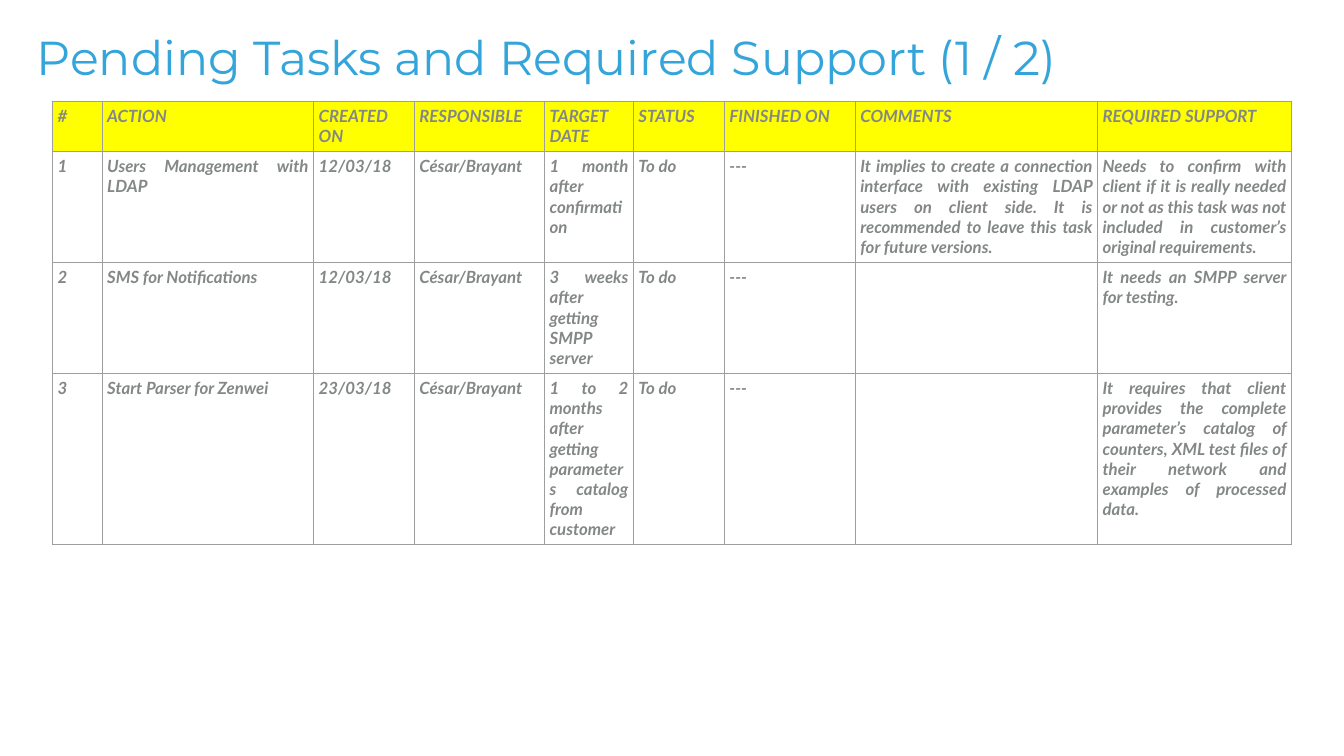
"""Build the pending tasks slide: a title above a bordered action table."""
from dataclasses import dataclass

from lxml.etree import SubElement
from pptx import Presentation
from pptx.dml.color import RGBColor
from pptx.enum.text import MSO_ANCHOR, MSO_AUTO_SIZE, PP_ALIGN
from pptx.oxml.ns import qn
from pptx.slide import Slide
from pptx.table import _Cell as Cell
from pptx.text.text import Font, TextFrame
from pptx.util import Pt


@dataclass(frozen=True)
class Theme:
    """Colours, fonts and sizes used on the slide."""
    title_color: str = "34A5DA"
    text_color: str = "838787"
    header_fill: str = "FFFF00"
    border_color: str = "9E9E9E"
    title_font: str = "Montserrat"
    table_font: str = "Lato"
    title_size: float = 68
    table_size: float = 24
    border_width: float = 0.75
    inset: float = 7.2


@dataclass(frozen=True)
class Column:
    """A table column heading and its width in points."""
    heading: str
    width: float


@dataclass(frozen=True)
class Task:
    """One pending task; the shared fields have defaults."""
    action: str
    created: str
    target: str
    support: str
    comments: str = ""
    responsible: str = "César/Brayant"
    status: str = "To do"
    finished: str = "---"

    def values(self, number: int) -> list[str]:
        """Return the cell texts in column order."""
        return [str(number), self.action, self.created, self.responsible, self.target,
                self.status, self.finished, self.comments, self.support]


THEME = Theme()
COLUMNS = [
    Column("#", 71),
    Column("ACTION", 302),
    Column("CREATED ON", 144),
    Column("RESPONSIBLE", 186),
    Column("TARGET DATE", 127),
    Column("STATUS", 130),
    Column("FINISHED ON", 187),
    Column("COMMENTS", 346),
    Column("REQUIRED SUPPORT", 277),
]
TASKS = [
    Task("Users Management with LDAP", "12/03/18", "1 month after confirmation",
         "Needs to confirm with client if it is really needed or not as this task was not "
         "included in customer’s original requirements.",
         comments="It implies to create a connection interface with existing LDAP users on "
                  "client side. It is recommended to leave this task for future versions."),
    Task("SMS for Notifications", "12/03/18", "3 weeks after getting SMPP server",
         "It needs an SMPP server for testing."),
    Task("Start Parser for Zenwei", "23/03/18",
         "1 to 2 months after getting parameters catalog from customer",
         "It requires that client provides the complete parameter’s catalog of counters, "
         "XML test files of their network and examples of processed data."),
]
ROW_HEIGHT = 30


def set_font(font: Font, name: str, size: float, color: str) -> None:
    """Apply a typeface, size and colour."""
    font.name, font.size = name, Pt(size)
    font.color.rgb = RGBColor.from_string(color)


def set_insets(target: TextFrame | Cell) -> None:
    """Give all four sides the same inner margin."""
    for side in ("left", "top", "right", "bottom"):
        setattr(target, f"margin_{side}", Pt(THEME.inset))


def add_borders(cell: Cell) -> None:
    """Outline a cell on every side."""
    properties = cell._tc.get_or_add_tcPr()
    for index, side in enumerate(("lnL", "lnR", "lnT", "lnB")):
        line = SubElement(properties, qn(f"a:{side}"), w=str(Pt(THEME.border_width)))
        SubElement(SubElement(line, qn("a:solidFill")), qn("a:srgbClr"), val=THEME.border_color)
        properties.insert(index, line)


def fill_cell(cell: Cell, text: str, is_header: bool) -> None:
    """Write and format one table cell."""
    cell.text_frame.text = text
    cell.vertical_anchor = MSO_ANCHOR.TOP
    set_insets(cell)
    paragraph = cell.text_frame.paragraphs[0]
    paragraph.alignment = PP_ALIGN.JUSTIFY
    for run in paragraph.runs:
        set_font(run.font, THEME.table_font, THEME.table_size, THEME.text_color)
        run.font.bold = run.font.italic = True
    if is_header:
        cell.fill.solid()
        cell.fill.fore_color.rgb = RGBColor.from_string(THEME.header_fill)
    else:
        cell.fill.background()
    add_borders(cell)


def add_title(slide: Slide, text: str) -> None:
    """Place the slide title in its placeholder."""
    title = slide.shapes.title
    title.left, title.top, title.width, title.height = Pt(45), Pt(32.4), Pt(1800), Pt(80)
    text_frame = title.text_frame
    text_frame.text = text
    text_frame.word_wrap = True
    text_frame.auto_size = MSO_AUTO_SIZE.NONE
    text_frame.vertical_anchor = MSO_ANCHOR.TOP
    set_insets(text_frame)
    paragraph = text_frame.paragraphs[0]
    paragraph.alignment = PP_ALIGN.LEFT
    set_font(paragraph.runs[0].font, THEME.title_font, THEME.title_size, THEME.title_color)


def add_task_table(slide: Slide, columns: list[Column], tasks: list[Task]) -> None:
    """Draw the header row and one row per task."""
    rows = [[column.heading for column in columns]]
    rows += [task.values(number) for number, task in enumerate(tasks, start=1)]
    width = sum(column.width for column in columns)
    table = slide.shapes.add_table(len(rows), len(columns), Pt(75), Pt(144),
                                   Pt(width), Pt(ROW_HEIGHT * len(rows))).table
    table.horz_banding = False
    for table_column, column in zip(table.columns, columns):
        table_column.width = Pt(column.width)
    for row_index, texts in enumerate(rows):
        for column_index, text in enumerate(texts):
            fill_cell(table.cell(row_index, column_index), text, row_index == 0)


def main() -> None:
    """Build and save the presentation."""
    presentation = Presentation()
    presentation.slide_width, presentation.slide_height = Pt(1920), Pt(1080)
    slide = presentation.slides.add_slide(presentation.slide_layouts[5])
    add_title(slide, "Pending Tasks and Required Support (1 / 2)")
    add_task_table(slide, COLUMNS, TASKS)
    presentation.save("out.pptx")


if __name__ == "__main__":
    main()
